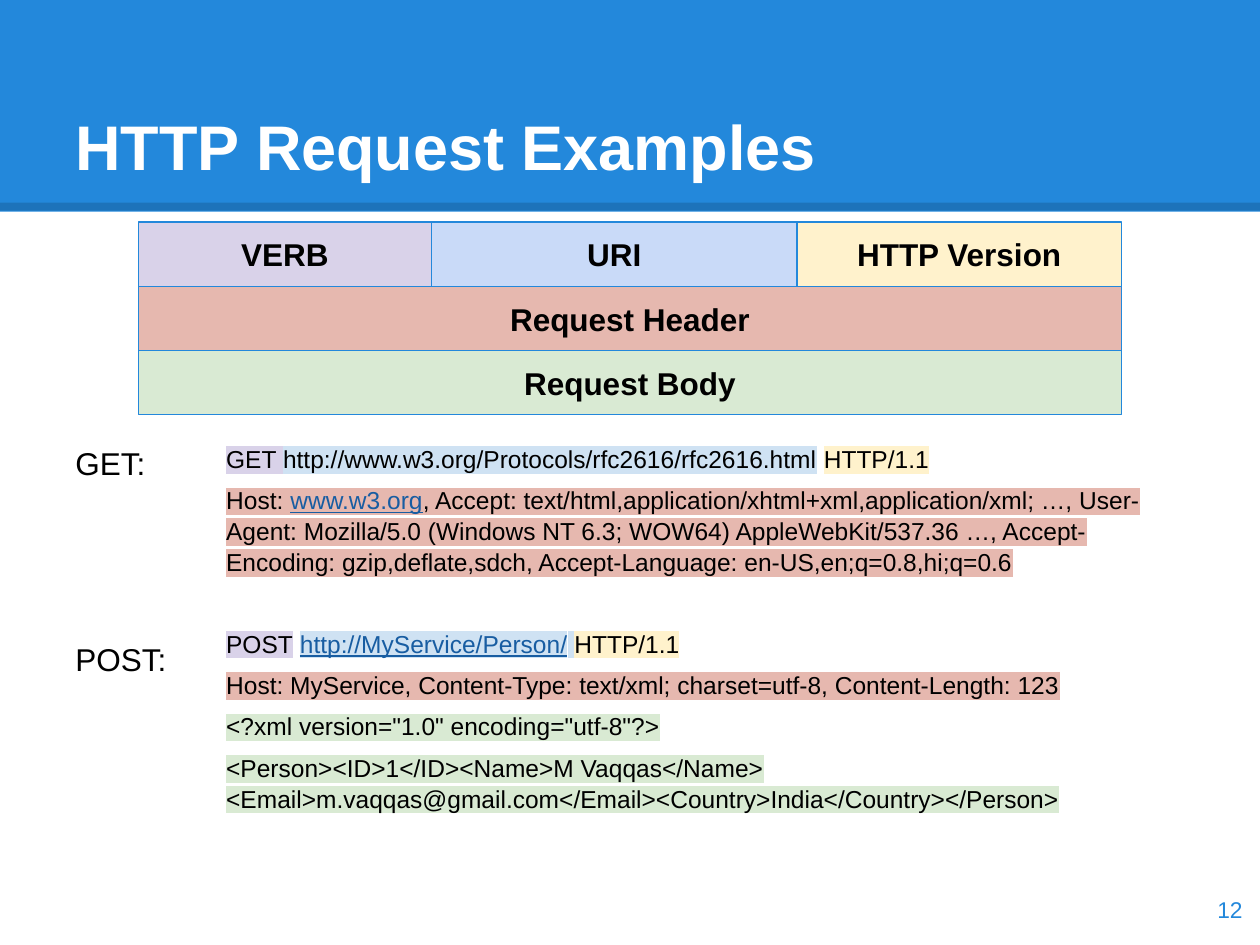
from dataclasses import dataclass

import lxml.etree
import pptx
import pptx.dml.color
import pptx.enum.shapes
import pptx.enum.text
import pptx.oxml.ns
import pptx.util

ALIGN = pptx.enum.text.PP_ALIGN
ANCHOR = pptx.enum.text.MSO_ANCHOR
qn = pptx.oxml.ns.qn


@dataclass(frozen=True)
class Theme:
    font: str = "Arial"
    blue: str = "2388DB"
    white: str = "FFFFFF"
    black: str = "000000"
    link: str = "185DA2"
    verb: str = "D9D2E9"
    uri: str = "C9DAF8"
    uri_mark: str = "CFE2F3"
    version: str = "FFF2CC"
    header: str = "E6B8AF"
    body: str = "D9EAD3"
    title_size: float = 36
    label_size: float = 18
    code_size: float = 14
    number_size: float = 13
    gap: float = 6
    line_spacing: float = 1.05


@dataclass(frozen=True)
class Box:
    """A rectangle in inches."""
    left: float
    top: float
    width: float
    height: float

    def share(self, left, top, width, height):
        """Return the box at the given shares of this one."""
        return Box(self.left + left * self.width, self.top + top * self.height,
                   width * self.width, height * self.height)

    def emu(self):
        return [pptx.util.Inches(n) for n in (self.left, self.top, self.width, self.height)]


THEME = Theme()
PAGE = Box(0, 0, 10, 7.5)

# Each row holds (label, fill, share of the row's width).
MESSAGE_ROWS = [
    [("VERB", THEME.verb, 0.298), ("URI", THEME.uri, 0.372), ("HTTP Version", THEME.version, 0.33)],
    [("Request Header", THEME.header, 1)],
    [("Request Body", THEME.body, 1)],
]

# Each paragraph is (space before, spans); a span is (text, highlight, is link).
LABELS = [
    (0, [("GET:", None, False)]),
    (89, [("POST:", None, False)]),
]
EXAMPLES = [
    (0, [("GET ", THEME.verb, False),
         ("http://www.w3.org/Protocols/rfc2616/rfc2616.html", THEME.uri_mark, False),
         (" ", None, False), ("HTTP/1.1", THEME.version, False)]),
    (THEME.gap, [("Host: ", THEME.header, False), ("www.w3.org", THEME.header, True),
                 (", Accept: text/html,application/xhtml+xml,application/xml; …, "
                  "User-Agent: Mozilla/5.0 (Windows NT 6.3; WOW64) AppleWebKit/537.36 …, "
                  "Accept-Encoding: gzip,deflate,sdch, Accept-Language: en-US,en;q=0.8,hi;q=0.6",
                  THEME.header, False)]),
    (29, [("POST", THEME.verb, False), (" ", None, False),
          ("http://MyService/Person/", THEME.uri_mark, True),
          (" ", THEME.uri_mark, False), ("HTTP/1.1", THEME.version, False)]),
    (THEME.gap, [("Host: MyService, Content-Type: text/xml; charset=utf-8, Content-Length: 123",
                  THEME.header, False)]),
    (THEME.gap, [('<?xml version="1.0" encoding="utf-8"?>', THEME.body, False)]),
    (THEME.gap, [("<Person><ID>1</ID><Name>M Vaqqas</Name> "
                  "<Email>m.vaqqas@gmail.com</Email><Country>India</Country></Person>",
                  THEME.body, False)]),
]


def rgb(color):
    return pptx.dml.color.RGBColor.from_string(color)


def style_font(font, size, color, bold=False):
    font.name = THEME.font
    font.size = pptx.util.Pt(size)
    font.bold = bold
    font.color.rgb = rgb(color)


def prepare_frame(frame, anchor):
    frame.word_wrap = True
    frame.vertical_anchor = anchor
    frame.margin_left = frame.margin_right = pptx.util.Inches(0.1)
    frame.margin_top = frame.margin_bottom = pptx.util.Inches(0.1)


def write_line(shape, text, size, color, bold=False, align=ALIGN.LEFT, anchor=ANCHOR.MIDDLE):
    frame = shape.text_frame
    prepare_frame(frame, anchor)
    frame.text = text
    para = frame.paragraphs[0]
    para.alignment = align
    style_font(para.runs[0].font, size, color, bold)


def add_rectangle(page, box, fill):
    shape = page.shapes.add_shape(pptx.enum.shapes.MSO_SHAPE.RECTANGLE, *box.emu())
    shape.shadow.inherit = False
    shape.fill.solid()
    shape.fill.fore_color.rgb = rgb(fill)
    shape.line.fill.background()
    return shape


def highlight(span, color):
    fill = span.font._element.find(qn("a:solidFill"))
    mark = lxml.etree.Element(qn("a:highlight"))
    lxml.etree.SubElement(mark, qn("a:srgbClr"), val=color)
    fill.addnext(mark)


def add_banner(page, box):
    """Draw the title band with its darker lower edge."""
    add_rectangle(page, box, THEME.blue)
    left, top, width, height = box.share(0, 0.976, 1, 0).emu()
    edge = page.shapes.add_connector(
        pptx.enum.shapes.MSO_CONNECTOR.STRAIGHT, left, top, left + width, top + height)
    edge.line.width = pptx.util.Pt(4.5)
    edge.line.color.rgb = rgb(THEME.black)
    color = edge._element.spPr.find(".//" + qn("a:srgbClr"))
    lxml.etree.SubElement(color, qn("a:alpha"), val="15000")
    lxml.etree.SubElement(edge._element.spPr, qn("a:effectLst"))
    title = page.shapes.add_textbox(*box.share(0.05, 0.18, 0.9, 0.744).emu())
    write_line(title, "HTTP Request Examples", THEME.title_size, THEME.white,
               bold=True, anchor=ANCHOR.BOTTOM)


def add_message_diagram(page, box):
    row_share = 1 / len(MESSAGE_ROWS)
    for row, cells in enumerate(MESSAGE_ROWS):
        start = 0
        for label, fill, width in cells:
            cell = add_rectangle(page, box.share(start, row * row_share, width, row_share), fill)
            cell.line.color.rgb = rgb(THEME.blue)
            cell.line.width = pptx.util.Pt(0.75)
            write_line(cell, label, THEME.label_size, THEME.black, bold=True, align=ALIGN.CENTER)
            start += width


def add_passage(page, box, passage, size):
    frame = page.shapes.add_textbox(*box.emu()).text_frame
    prepare_frame(frame, ANCHOR.TOP)
    for index, (space, spans) in enumerate(passage):
        para = frame.add_paragraph() if index else frame.paragraphs[0]
        para.line_spacing = THEME.line_spacing
        if space:
            para.space_before = pptx.util.Pt(space)
        for text, mark, is_link in spans:
            span = para.add_run()
            span.text = text
            style_font(span.font, size, THEME.link if is_link else THEME.black)
            span.font.underline = is_link
            if mark:
                highlight(span, mark)


def add_examples(page, box):
    add_passage(page, box.share(0, 0, 0.136, 1), LABELS, THEME.label_size)
    add_passage(page, box.share(0.133, 0, 0.867, 1), EXAMPLES, THEME.code_size)


def add_page_number(page, box):
    number = page.shapes.add_textbox(*box.emu())
    write_line(number, "12", THEME.number_size, THEME.blue, align=ALIGN.RIGHT)


def main():
    deck = pptx.Presentation()
    deck.slide_width = pptx.util.Inches(PAGE.width)
    deck.slide_height = pptx.util.Inches(PAGE.height)
    page = deck.slides.add_slide(deck.slide_layouts[6])
    add_banner(page, PAGE.share(0, 0, 1, 0.224))
    add_page_number(page, PAGE.share(0.936, 0.924, 0.06, 0.076))
    add_examples(page, PAGE.share(0.05, 0.455, 0.9, 0.503))
    add_message_diagram(page, PAGE.share(0.11, 0.235, 0.78, 0.204))
    deck.save("out.pptx")


if __name__ == "__main__":
    main()
